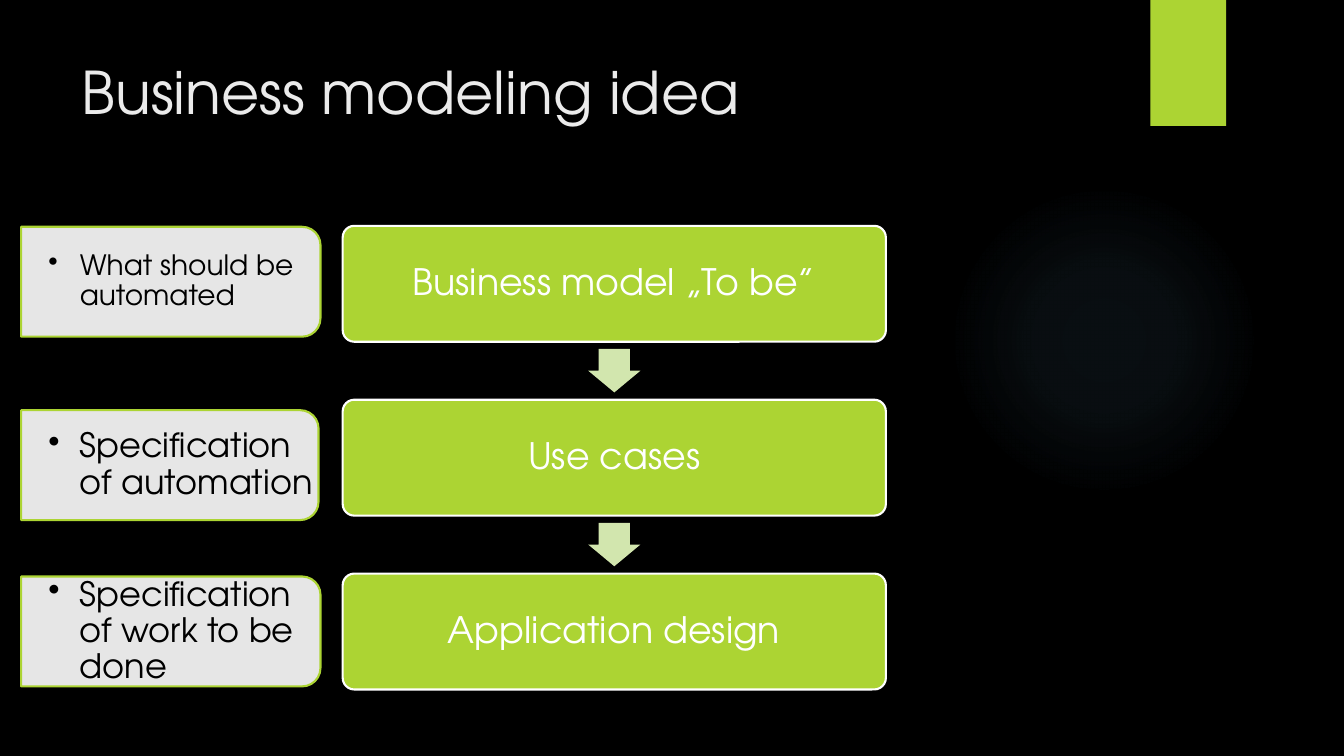
from dataclasses import dataclass

from lxml.etree import SubElement
from pptx import Presentation
from pptx.dml.color import RGBColor
from pptx.enum.shapes import MSO_SHAPE
from pptx.enum.text import MSO_ANCHOR, PP_ALIGN
from pptx.oxml import parse_xml
from pptx.oxml.ns import nsdecls, qn
from pptx.shapes.autoshape import Shape
from pptx.slide import Slide
from pptx.text.text import TextFrame
from pptx.util import Pt

FONT = "TeX Gyre Adventor"
BLACK = RGBColor(0x00, 0x00, 0x00)
WHITE = RGBColor(0xFF, 0xFF, 0xFF)
LIME = RGBColor(0xAC, 0xD4, 0x33)
PALE_LIME = RGBColor(0xD2, 0xE6, 0xAE)
TITLE_GRAY = RGBColor(0xEB, 0xEB, 0xEB)
GLOW_BLUE = RGBColor(0x7A, 0xC4, 0xF0)


@dataclass(frozen=True)
class Box:
    left: float
    top: float
    width: float
    height: float

    def turned(self) -> "Box":
        """Frame that covers this box after a quarter turn."""
        shift = (self.width - self.height) / 2
        return Box(self.left + shift, self.top - shift, self.height, self.width)

    def lengths(self) -> tuple[Pt, Pt, Pt, Pt]:
        return Pt(self.left), Pt(self.top), Pt(self.width), Pt(self.height)


@dataclass(frozen=True)
class Note:
    text: str
    top: float
    width: float
    size: float


STEPS = ["Business model „To be”", "Use cases", "Application design"]
STEP_LEFT, STEP_TOP, STEP_WIDTH, STEP_HEIGHT = 244.8, 161.3, 388, 82.8
STEP_PITCH = 124.2
ARROW_WIDTH, ARROW_HEIGHT = 37.3, 31

NOTES = [
    Note("What should be automated", 162, 213.8, 20),
    Note("Specification of automation", 293, 212.4, 24),
    Note("Specification of work to be done", 411.8, 213.8, 24),
]
NOTE_LEFT, NOTE_HEIGHT, NOTE_TEXT_HEIGHT = 15.1, 78.5, 70.6
NOTE_INDENT = 22.5


def add_box(slide: Slide, kind: MSO_SHAPE, box: Box, fill: RGBColor,
            line: RGBColor | None = None, quarter_turn: bool = False) -> Shape:
    frame = box.turned() if quarter_turn else box
    shape = slide.shapes.add_shape(kind, *frame.lengths())
    shape.rotation = 90 if quarter_turn else 0
    shape.shadow.inherit = False
    shape.fill.solid()
    shape.fill.fore_color.rgb = fill
    if line is None:
        shape.line.fill.background()
    else:
        shape.line.color.rgb = line
        shape.line.width = Pt(1.5)
    return shape


def write_text(frame: TextFrame, text: str, size: float, color: RGBColor,
               margins: tuple[float, float, float, float]) -> None:
    frame.word_wrap = True
    frame.vertical_anchor = MSO_ANCHOR.MIDDLE
    (frame.margin_left, frame.margin_top,
     frame.margin_right, frame.margin_bottom) = (Pt(margin) for margin in margins)
    paragraph = frame.paragraphs[0]
    paragraph.text = text
    paragraph.line_spacing = 0.9
    paragraph.font.name = FONT
    paragraph.font.size = Pt(size)
    paragraph.font.color.rgb = color


def add_glow(slide: Slide) -> None:
    glow = add_box(slide, MSO_SHAPE.OVAL, Box(677.5, 131.8, 221.8, 221.8), GLOW_BLUE)
    stops = "".join(
        f'<a:gs pos="{position}000"><a:srgbClr val="{GLOW_BLUE}">'
        f'<a:alpha val="{alpha}000"/></a:srgbClr></a:gs>'
        for position, alpha in [(0, 7), (36, 6), (69, 0)])
    gradient = parse_xml(
        f'<a:gradFill {nsdecls("a")}><a:gsLst>{stops}</a:gsLst><a:path path="circle">'
        '<a:fillToRect l="50000" t="50000" r="50000" b="50000"/></a:path></a:gradFill>')
    properties = glow.element.spPr
    properties.replace(properties.find(qn("a:solidFill")), gradient)


def add_title(slide: Slide, text: str) -> None:
    title = slide.shapes.title
    title.left, title.top, title.width, title.height = Box(51.1, 36, 740.2, 110.2).lengths()
    title.text_frame.vertical_anchor = MSO_ANCHOR.TOP
    paragraph = title.text_frame.paragraphs[0]
    paragraph.text = text
    paragraph.alignment = PP_ALIGN.LEFT
    paragraph.font.name = FONT
    paragraph.font.size = Pt(42)
    paragraph.font.color.rgb = TITLE_GRAY


def add_step(slide: Slide, text: str, top: float) -> None:
    box = Box(STEP_LEFT, top, STEP_WIDTH, STEP_HEIGHT)
    step = add_box(slide, MSO_SHAPE.ROUNDED_RECTANGLE, box, LIME, WHITE)
    step.adjustments[0] = 0.1
    write_text(step.text_frame, text, 26, WHITE, (8, 8, 8, 8))
    step.text_frame.paragraphs[0].alignment = PP_ALIGN.CENTER


def add_arrow(slide: Slide, step_top: float) -> None:
    gap = STEP_PITCH - STEP_HEIGHT
    box = Box(STEP_LEFT + (STEP_WIDTH - ARROW_WIDTH) / 2,
              step_top + STEP_HEIGHT + (gap - ARROW_HEIGHT) / 2,
              ARROW_WIDTH, ARROW_HEIGHT)
    arrow = add_box(slide, MSO_SHAPE.RIGHT_ARROW, box, PALE_LIME, quarter_turn=True)
    arrow.adjustments[0] = 0.6
    arrow.adjustments[1] = 0.5


def add_note(slide: Slide, note: Note) -> None:
    # Card rounded on its right side
    card = add_box(slide, MSO_SHAPE.ROUND_2_SAME_RECTANGLE,
                   Box(NOTE_LEFT, note.top, note.width, NOTE_HEIGHT),
                   WHITE, LIME, quarter_turn=True)
    color = card.element.spPr.find(qn("a:solidFill"))[0]
    SubElement(color, qn("a:alpha")).set("val", "90000")

    # Bulleted text
    text_top = note.top + (NOTE_HEIGHT - NOTE_TEXT_HEIGHT) / 2
    text_box = slide.shapes.add_textbox(
        *Box(NOTE_LEFT, text_top, note.width - 1.4, NOTE_TEXT_HEIGHT).lengths())
    write_text(text_box.text_frame, note.text, note.size, BLACK, (19.4, 1.4, 1.4, 1.4))
    paragraph = text_box.text_frame.paragraphs[0]
    paragraph.level = 1
    properties = paragraph._p.get_or_add_pPr()
    properties.set("marL", str(Pt(NOTE_INDENT)))
    properties.set("indent", str(-Pt(NOTE_INDENT)))
    bullet = parse_xml(f'<a:buChar {nsdecls("a")} char="•"/>')
    properties.find(qn("a:lnSpc")).addnext(bullet)


def main() -> None:
    presentation = Presentation()
    presentation.slide_width, presentation.slide_height = Pt(960), Pt(540)
    slide = presentation.slides.add_slide(presentation.slide_layouts[5])

    # Backdrop and title
    slide.background.fill.solid()
    slide.background.fill.fore_color.rgb = BLACK
    add_glow(slide)
    add_box(slide, MSO_SHAPE.RECTANGLE, Box(821.8, 0, 54, 90), LIME)
    add_title(slide, "Business modeling idea")

    # Process steps joined by arrows
    for index, text in enumerate(STEPS):
        top = STEP_TOP + index * STEP_PITCH
        add_step(slide, text, top)
        if index < len(STEPS) - 1:
            add_arrow(slide, top)

    # Notes beside the steps
    for note in NOTES:
        add_note(slide, note)

    presentation.save("out.pptx")


if __name__ == "__main__":
    main()
